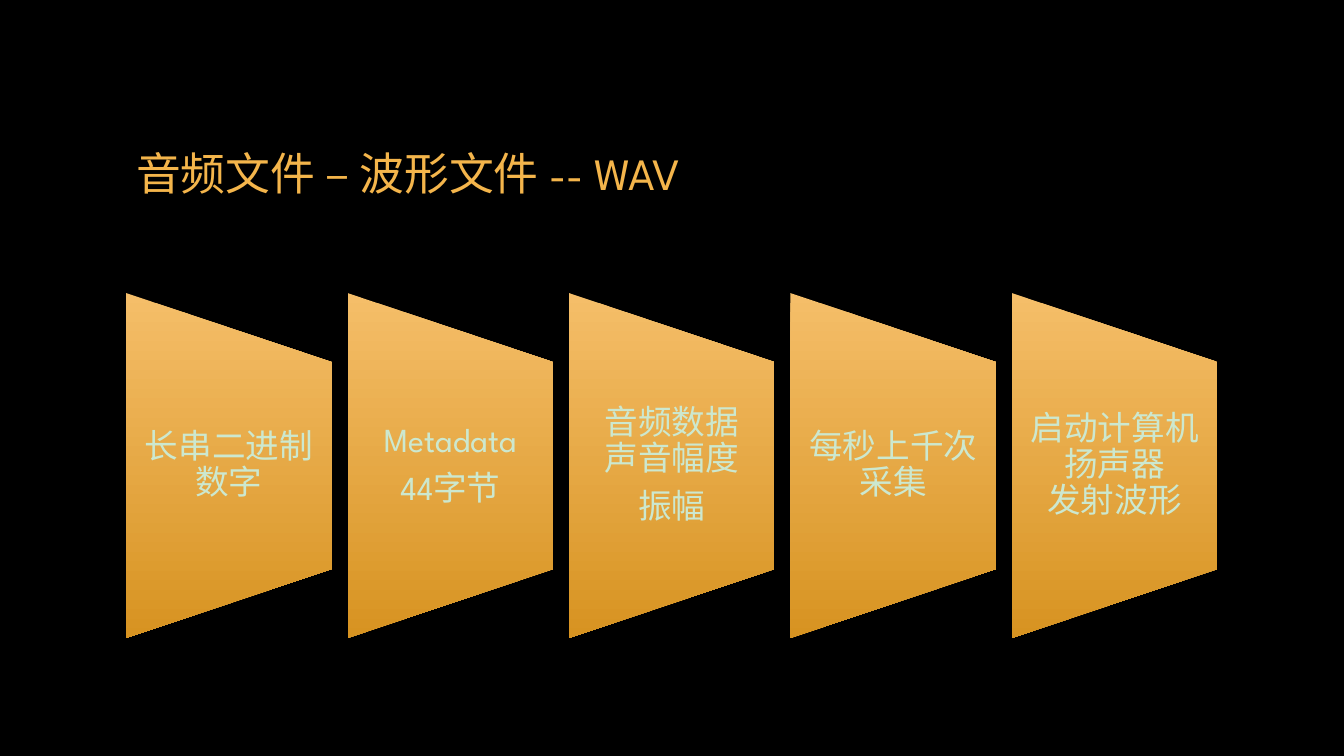
import dataclasses

import pptx
import pptx.dml.color
import pptx.enum.shapes
import pptx.enum.text
import pptx.oxml.ns
import pptx.util

Cm = pptx.util.Cm
Pt = pptx.util.Pt
RGBColor = pptx.dml.color.RGBColor

BLACK = RGBColor(0x00, 0x00, 0x00)
AMBER = RGBColor(0xF4, 0xB5, 0x4B)
LIGHT = RGBColor(0xF5, 0xBE, 0x69)
DARK = RGBColor(0xD7, 0x93, 0x21)
MINT = RGBColor(0xCC, 0xE8, 0xCF)

FACE = "League Spartan"
LEFT = 3.18
PITCH = 5.58
WIDTH = 5.18
HEIGHT = 8.69
MIDDLE = 11.73

TITLE_FRAME = {
    "word_wrap": True,
    "vertical_anchor": pptx.enum.text.MSO_ANCHOR.MIDDLE,
}
PANEL_FRAME = TITLE_FRAME | {
    "margin_left": Cm(0.43),
    "margin_right": Cm(0.43),
    "margin_top": 0,
    "margin_bottom": 0,
}
TITLE_PARA = {"alignment": pptx.enum.text.PP_ALIGN.LEFT}
PANEL_PARA = {
    "alignment": pptx.enum.text.PP_ALIGN.CENTER,
    "line_spacing": 0.9,
    "space_after": Pt(8),
}


@dataclasses.dataclass(frozen=True)
class Box:
    left: float
    top: float
    width: float
    height: float

    def place(self) -> tuple:
        return Cm(self.left), Cm(self.top), Cm(self.width), Cm(self.height)


@dataclasses.dataclass(frozen=True)
class Panel:
    lines: tuple[str, ...]


PANELS = (
    Panel(("长串二进制数字",)),
    Panel(("Metadata", "44字节")),
    Panel(("音频数据\n声音幅度", "振幅")),
    Panel(("每秒上千次采集",)),
    Panel(("启动计算机扬声器\n发射波形",)),
)


def apply(target, values: dict) -> None:
    for name, value in values.items():
        setattr(target, name, value)


def add_text(slide, box: Box, lines: tuple[str, ...], frame: dict,
             para: dict, size: int, color: RGBColor) -> None:
    body = slide.shapes.add_textbox(*box.place()).text_frame
    apply(body, frame)
    for index, line in enumerate(lines):
        item = body.add_paragraph() if index else body.paragraphs[0]
        item.text = line
        apply(item, para)
        for run in item.runs:
            apply(run.font, {"name": FACE, "size": Pt(size)})
            run.font.color.rgb = color


def add_panel(slide, index: int, panel: Panel) -> None:
    left = LEFT + index * PITCH
    center = left + WIDTH / 2
    box = Box(center - HEIGHT / 2, MIDDLE - WIDTH / 2, HEIGHT, WIDTH)
    kind = pptx.enum.shapes.MSO_SHAPE.FLOWCHART_MANUAL_OPERATION
    shape = slide.shapes.add_shape(kind, *box.place())
    shape.rotation = 270
    shape.shadow.inherit = False
    shape.line.fill.background()
    shape.fill.gradient()
    shape.fill.gradient_angle = 270
    for stop, color in zip(shape.fill.gradient_stops, (LIGHT, DARK)):
        stop.color.rgb = color
    grad = shape._element.spPr.find(pptx.oxml.ns.qn("a:gradFill"))
    grad.set("rotWithShape", "0")
    label = Box(left, MIDDLE - 2.6, WIDTH, 5.2)
    add_text(slide, label, panel.lines, PANEL_FRAME, PANEL_PARA, 24, MINT)


def main() -> None:
    deck = pptx.Presentation()
    apply(deck, {"slide_width": Cm(33.87), "slide_height": Cm(19.05)})
    slide = deck.slides.add_slide(deck.slide_layouts[6])
    slide.background.fill.solid()
    slide.background.fill.fore_color.rgb = BLACK
    add_text(slide, Box(LEFT, 1.7, 27.51, 5.28), ("音频文件 – 波形文件 -- WAV",),
             TITLE_FRAME, TITLE_PARA, 32, AMBER)
    for index, panel in enumerate(PANELS):
        add_panel(slide, index, panel)
    deck.save("out.pptx")


if __name__ == "__main__":
    main()
